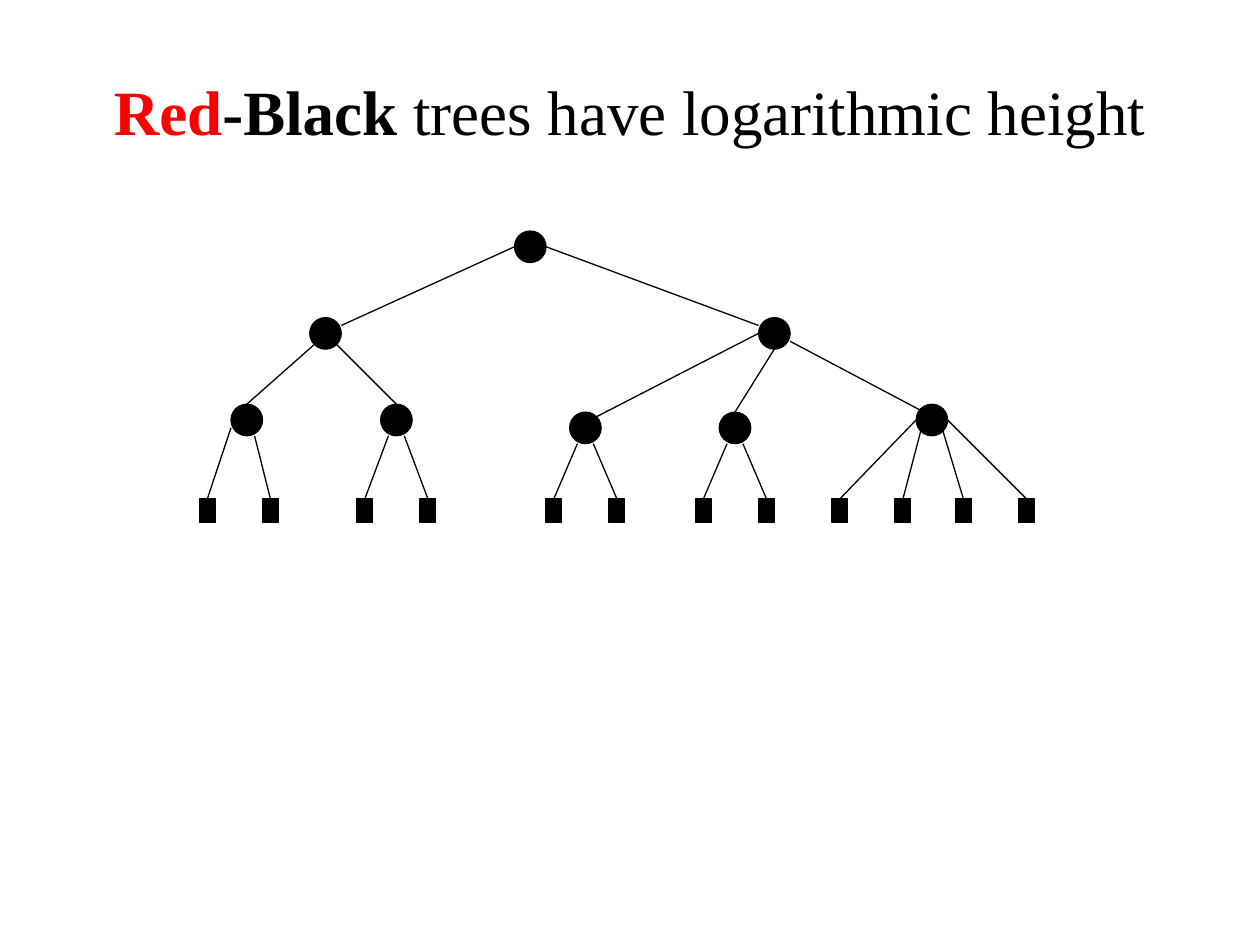
from lxml.etree import SubElement
from pptx import Presentation
from pptx.dml.color import RGBColor
from pptx.enum.shapes import MSO_CONNECTOR, MSO_SHAPE
from pptx.enum.text import MSO_ANCHOR, PP_ALIGN
from pptx.oxml.ns import qn
from pptx.util import Pt

BLACK, RED = "000000", "FF0000"
FONT = "Times New Roman"
LEAF_W, LEAF_H, LEAF_TOP = 9, 13.5, 153
RADIUS = 9
HALF = RADIUS / 2
DIAG = 6.36

NODES = {
    "root": (189, 9),
    "left": (72, 58.5),
    "right": (328.5, 58.5),
    "left_a": (27, 108),
    "left_b": (112.5, 108),
    "right_a": (220.5, 112.5),
    "right_b": (306, 112.5),
    "right_c": (418.5, 108),
}

EDGES = [
    ("root", (-RADIUS, 0), "left", (RADIUS, -HALF)),
    ("root", (RADIUS, 0), "right", (-RADIUS, -HALF)),
    ("left", (-DIAG, DIAG), "left_a", (0, -RADIUS)),
    ("left", (DIAG, DIAG), "left_b", (0, -RADIUS)),
    ("right", (-RADIUS, 0), "right_a", (DIAG, -DIAG)),
    ("right", (0, RADIUS), "right_b", (0, -RADIUS)),
    ("right", (RADIUS, HALF), "right_c", (-HALF, -HALF)),
]

PAIR = [(-18, (-HALF, RADIUS)), (18, (HALF, RADIUS))]
LEAVES = {
    "left_a": [(-22.5, (-RADIUS, HALF)), (13.5, (HALF, RADIUS))],
    "left_b": PAIR,
    "right_a": PAIR,
    "right_b": PAIR,
    "right_c": [(-52.5, (-RADIUS, 0)), (-16.5, (-DIAG, DIAG)),
                (18, (DIAG, DIAG)), (54, (RADIUS, 0))],
}


def color(value):
    """Turn a hex string into a colour."""
    return RGBColor.from_string(value)


def add_solid(shapes, kind, x, y, w, h):
    """Add a black shape with a thin black outline."""
    sp = shapes.add_shape(kind, Pt(x), Pt(y), Pt(w), Pt(h))
    sp.shadow.inherit = False
    sp.fill.solid()
    sp.fill.fore_color.rgb = color(BLACK)
    sp.line.color.rgb = color(BLACK)
    sp.line.width = Pt(0.75)


def add_edge(shapes, start, end):
    """Add a thin black line between two points."""
    line = shapes.add_connector(MSO_CONNECTOR.STRAIGHT, *map(Pt, start + end))
    line.line.color.rgb = color(BLACK)
    line.line.width = Pt(0.75)
    SubElement(line._element.spPr, qn("a:effectLst"))


def add_title(s, x, y, w, h):
    """Fill the title placeholder inside the given box."""
    sp = s.shapes.title
    sp.left, sp.top, sp.width, sp.height = Pt(x), Pt(y), Pt(w), Pt(h)
    tf = sp.text_frame
    tf.word_wrap = True
    tf.vertical_anchor = MSO_ANCHOR.MIDDLE
    p = tf.paragraphs[0]
    p.alignment = PP_ALIGN.CENTER
    for text, tint, bold in [("Red", RED, True), ("-Black", BLACK, True),
                             (" trees have logarithmic height", BLACK, False)]:
        r = p.add_run()
        r.text = text
        r.font.name, r.font.size, r.font.bold = FONT, Pt(36), bold
        r.font.color.rgb = color(tint)


def add_tree(s, x, y):
    """Draw the tree with its top left corner at the given point."""
    shapes = s.shapes.add_group_shape().shapes
    centers = {name: (x + cx, y + cy) for name, (cx, cy) in NODES.items()}

    def port(name, offset):
        """Return the point at an offset from a node centre."""
        cx, cy = centers[name]
        return cx + offset[0], cy + offset[1]

    for cx, cy in centers.values():
        add_solid(shapes, MSO_SHAPE.OVAL, cx - RADIUS, cy - RADIUS,
                  2 * RADIUS, 2 * RADIUS)
    for parent, start, child, end in EDGES:
        add_edge(shapes, port(parent, start), port(child, end))
    for parent, leaves in LEAVES.items():
        for dx, start in leaves:
            leaf_x, leaf_y = centers[parent][0] + dx, y + LEAF_TOP
            add_solid(shapes, MSO_SHAPE.RECTANGLE, leaf_x - LEAF_W / 2, leaf_y,
                      LEAF_W, LEAF_H)
            add_edge(shapes, port(parent, start), (leaf_x, leaf_y))


def main():
    """Build and save the slide."""
    prs = Presentation()
    prs.slide_width, prs.slide_height = Pt(720), Pt(540)
    s = prs.slides.add_slide(prs.slide_layouts[5])
    add_tree(s, 114, 132)
    add_title(s, 0, 18, 720, 90)
    prs.save("out.pptx")


if __name__ == "__main__":
    main()
